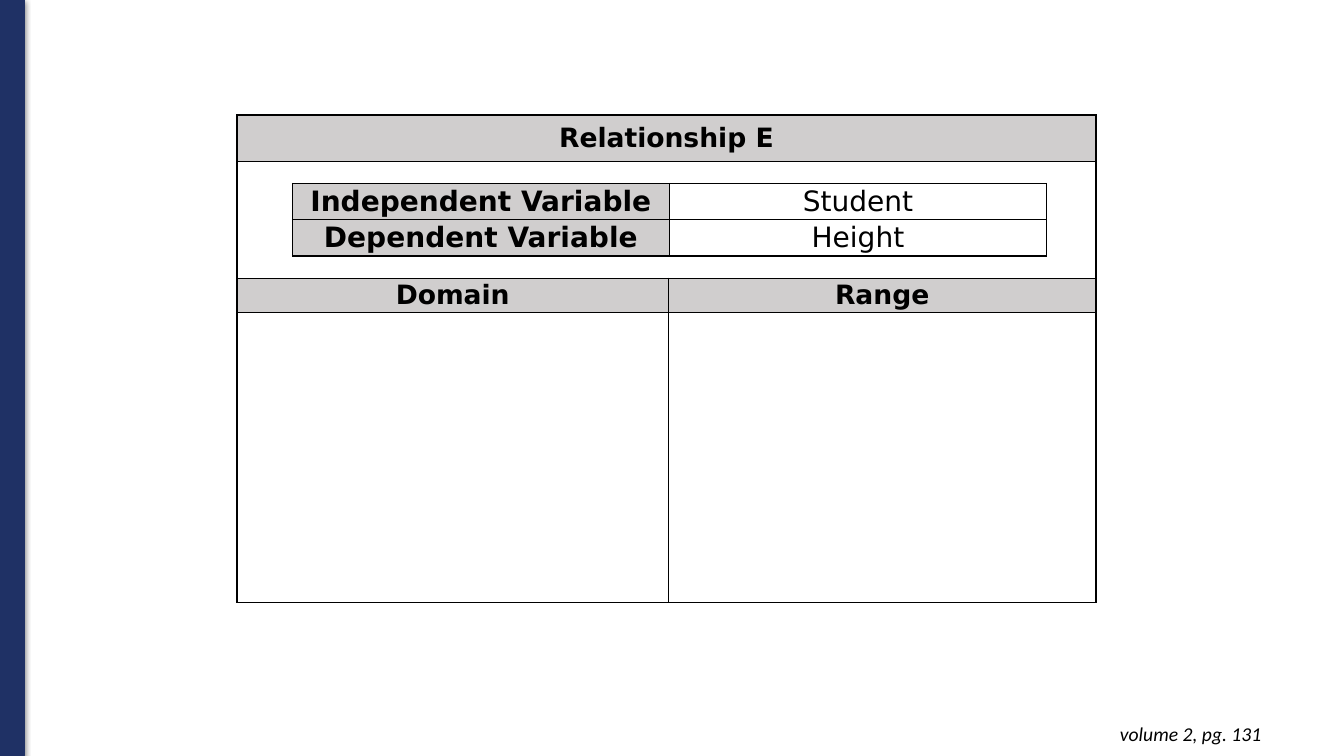
import pptx
import pptx.dml.color
import pptx.enum.shapes
import pptx.enum.text
import pptx.oxml
import pptx.oxml.ns
import pptx.util

W, H = 13.33, 7.5
COLORS = {"bar": "1F3165", "header": "D0CECE", "text": "000000", "border": "000000"}
BODY = {"name": "DejaVu Sans", "bold": True}
NOTE = {"name": "Calibri", "size": pptx.util.Pt(14), "italic": True}
NS = pptx.oxml.ns.nsdecls("a")
MARGINS = ("margin_left", "margin_top", "margin_right", "margin_bottom")


def inches(*values):
    return [pptx.util.Inches(v) for v in values]


def rgb(name):
    return pptx.dml.color.RGBColor.from_string(COLORS[name])


def set_attrs(obj, values):
    for name, value in values.items():
        setattr(obj, name, value)


def write(tf, text, align, fmt):
    p = tf.paragraphs[0]
    p.alignment = align
    r = p.add_run()
    r.text = text
    set_attrs(r.font, fmt)
    r.font.color.rgb = rgb("text")


def add_bar(slide, box):
    sp = slide.shapes.add_shape(pptx.enum.shapes.MSO_SHAPE.RECTANGLE, *inches(*box))
    sp.fill.solid()
    sp.fill.fore_color.rgb = rgb("bar")
    sp.line.color.rgb = rgb("bar")
    sp.line.width = pptx.util.Pt(0.75)
    sp._element.spPr.append(pptx.oxml.parse_xml(
        f'<a:effectLst {NS}><a:outerShdw blurRad="57150" dist="19050" dir="5400000" '
        'algn="ctr" rotWithShape="0"><a:srgbClr val="000000"><a:alpha val="50000"/>'
        '</a:srgbClr></a:outerShdw></a:effectLst>'))


def add_page_note(slide, box, text):
    tf = slide.shapes.add_textbox(*inches(*box)).text_frame
    tf.word_wrap = True
    set_attrs(tf, dict.fromkeys(MARGINS, pptx.util.Inches(0.1)))
    write(tf, text, pptx.enum.text.PP_ALIGN.RIGHT, NOTE)


def format_cell(cell, text, fill, margins, fmt):
    tcPr = cell._tc.get_or_add_tcPr()
    for i, side in enumerate("LRTB"):
        tcPr.insert(i, pptx.oxml.parse_xml(
            f'<a:ln{side} {NS} w="12700"><a:solidFill><a:srgbClr val="{COLORS["border"]}"/>'
            f'</a:solidFill></a:ln{side}>'))
    if fill:
        cell.fill.solid()
        cell.fill.fore_color.rgb = rgb(fill)
    else:
        cell.fill.background()
    set_attrs(cell, dict(zip(MARGINS, inches(*margins))))
    cell.vertical_anchor = pptx.enum.text.MSO_ANCHOR.MIDDLE
    if text:
        write(cell.text_frame, text, pptx.enum.text.PP_ALIGN.CENTER, {**BODY, **fmt})


def add_grid(slide, left, top, cols, rows):
    box = inches(left, top, sum(cols), sum(rows))
    table = slide.shapes.add_table(len(rows), len(cols), *box).table
    table.first_row = table.horz_banding = False
    for col, width in zip(table.columns, inches(*cols)):
        col.width = width
    for row, height in zip(table.rows, inches(*rows)):
        row.height = height
    return table


def add_relationship(slide, left, top, title, headings):
    table = add_grid(slide, left, top, (4.28, 4.24), (0.46, 1.16, 0.34, 2.88))
    for row in range(2):
        table.cell(row, 0).merge(table.cell(row, 1))
    labels = ((title, ""), ("", ""), headings, ("", ""))
    for r, texts in enumerate(labels):
        margins = (0.12, 0.06, 0.12, 0.06) if r == 0 else (0.08, 0, 0.08, 0)
        for c, text in enumerate(texts):
            fill = "header" if r in (0, 2) else None
            format_cell(table.cell(r, c), text, fill, margins, {"size": pptx.util.Pt(19)})


def add_variables(slide, left, top, variables):
    table = add_grid(slide, left, top, (3.74,) * 2, (0.36,) * len(variables))
    for r, texts in enumerate(variables):
        for c, text in enumerate(texts):
            format_cell(table.cell(r, c), text, None if c else "header", (0.09, 0, 0.09, 0),
                        {"size": pptx.util.Pt(20), "bold": c == 0})


def main():
    prs = pptx.Presentation()
    prs.slide_width, prs.slide_height = inches(W, H)
    slide = prs.slides.add_slide(prs.slide_layouts[6])
    add_bar(slide, (0, 0, 0.24, H))
    add_page_note(slide, (0.73 * W, 7.06, 2.88, 0.44), "volume 2, pg. 131")
    add_relationship(slide, 2.35, 1.14, "Relationship E", ("Domain", "Range"))
    add_variables(slide, 2.9, 1.82, (("Independent Variable", "Student"),
                                     ("Dependent Variable", "Height")))
    prs.save("out.pptx")


if __name__ == "__main__":
    main()
